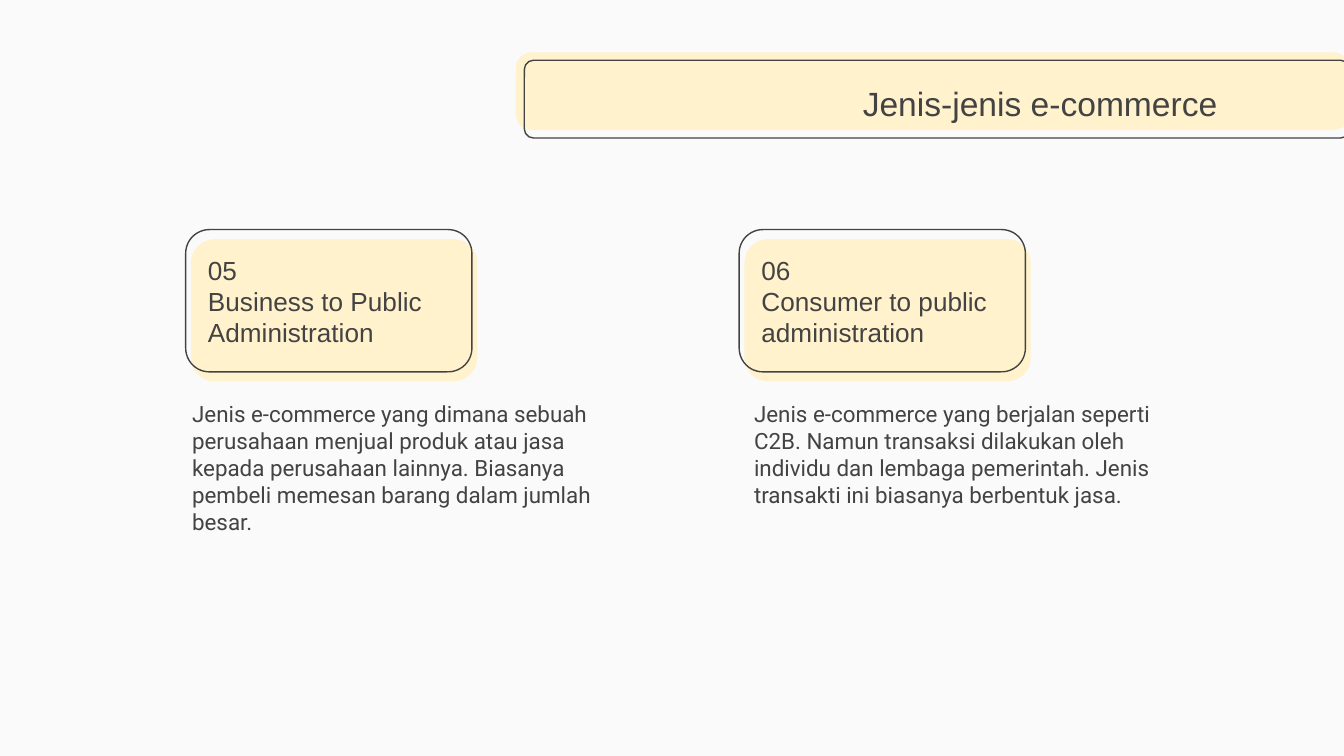
from dataclasses import dataclass

from lxml.etree import SubElement
from pptx import Presentation
from pptx.dml.color import RGBColor
from pptx.enum.shapes import MSO_SHAPE
from pptx.enum.text import MSO_ANCHOR, MSO_AUTO_SIZE, PP_ALIGN
from pptx.oxml.ns import qn
from pptx.util import Cm, Pt


@dataclass(frozen=True)
class Theme:
    paper: RGBColor = RGBColor(0xFA, 0xFA, 0xFA)
    cream: RGBColor = RGBColor(0xFF, 0xF2, 0xCC)
    ink: RGBColor = RGBColor(0x43, 0x43, 0x43)
    head_font: str = "Arial"
    body_font: str = "Roboto"
    title_size: int = 18
    head_size: int = 14
    body_size: int = 12
    line_width: float = 0.75
    inset: float = 0.25


class Deck:
    """Holds the style and the current slide."""

    def __init__(self, s, theme):
        self.s, self.theme = s, theme

    def background(self):
        fill = self.s.background.fill
        fill.solid()
        fill.fore_color.rgb = self.theme.paper

    def rounded(self, shapes, box, radius, filled):
        """A rounded box: either a plain fill or a plain outline."""
        sp = shapes.add_shape(MSO_SHAPE.ROUNDED_RECTANGLE, *map(Cm, box))
        sp.adjustments[0] = radius
        sp.shadow.inherit = False
        if filled:
            sp.fill.solid()
            sp.fill.fore_color.rgb = self.theme.cream
            sp.line.fill.background()
        else:
            sp.fill.background()
            sp.line.color.rgb = self.theme.ink
            sp.line.width = Pt(self.theme.line_width)

    def card(self, x, y, w, h):
        """A filled box with its outline shifted up and to the left."""
        shapes = self.s.shapes.add_group_shape().shapes
        self.rounded(shapes, (x + 0.1, y + 0.18, w, h), 0.167, True)
        self.rounded(shapes, (x, y, w, h), 0.167, False)

    def text(self, idx, box, lines, font, size, anchor, align=PP_ALIGN.LEFT):
        """Fill a template placeholder and bring it in front of the boxes."""
        sp = self.s.placeholders[idx]
        sp.left, sp.top, sp.width, sp.height = map(Cm, box)
        sp.element.getparent().append(sp.element)
        tf = sp.text_frame
        inset = Cm(self.theme.inset)
        frame_format = {
            "word_wrap": True, "auto_size": MSO_AUTO_SIZE.NONE,
            "vertical_anchor": anchor, "margin_left": inset,
            "margin_right": inset, "margin_top": inset, "margin_bottom": inset,
        }
        for name, value in frame_format.items():
            setattr(tf, name, value)
        para_format = {"alignment": align, "space_before": Pt(0),
                       "space_after": Pt(0), "line_spacing": 1.0}
        font_format = {"name": font, "size": Pt(size), "bold": False}
        for i, line in enumerate(lines):
            p = tf.add_paragraph() if i else tf.paragraphs[0]
            for name, value in para_format.items():
                setattr(p, name, value)
            # No bullet and no hanging indent
            pPr = p._p.get_or_add_pPr()
            pPr.set("marL", "0")
            pPr.set("indent", "0")
            SubElement(pPr, qn("a:buNone"))
            r = p.add_run()
            r.text = line
            for name, value in font_format.items():
                setattr(r.font, name, value)
            r.font.color.rgb = self.theme.ink


# Heading lines, heading width, card left, body left, body text
TYPES = [
    (["05", "Business to Public Administration"], 4.75, 3.51, 3.38,
     "Jenis e-commerce yang dimana sebuah perusahaan menjual produk atau jasa "
     "kepada perusahaan lainnya. Biasanya pembeli memesan barang dalam jumlah "
     "besar."),
    (["06", "Consumer to public administration"], 5.28, 13.97, 14.0,
     "Jenis e-commerce yang berjalan seperti C2B. Namun transaksi dilakukan "
     "oleh individu dan lembaga pemerintah. Jenis transakti ini biasanya "
     "berbentuk jasa."),
]


def main():
    prs = Presentation()
    prs.slide_width, prs.slide_height = Cm(25.4), Cm(14.29)
    theme = Theme()
    # Comparison layout: a title and two heading/body pairs
    deck = Deck(prs.slides.add_slide(prs.slide_layouts[4]), theme)
    deck.background()

    # Title band
    shapes = deck.s.shapes
    deck.rounded(shapes, (9.75, 0.99, 15.75, 1.47), 0.199, True)
    deck.rounded(shapes, (9.91, 1.14, 15.6, 1.47), 0.119, False)
    deck.text(0, (14.4, 1.27, 8.86, 1.35), ["Jenis-jenis e-commerce"],
              theme.head_font, theme.title_size, MSO_ANCHOR.MIDDLE,
              PP_ALIGN.RIGHT)

    # One card with a description for each type
    for i, (heading, head_w, card_x, body_x, body) in enumerate(TYPES):
        deck.card(card_x, 4.34, 5.41, 2.69)
        deck.text(2 * i + 1, (card_x + 0.17, 5.23, head_w, 1.6), heading,
                  theme.head_font, theme.head_size, MSO_ANCHOR.BOTTOM)
        deck.text(2 * i + 2, (body_x, 7.32, 8.51, 2.72), [body],
                  theme.body_font, theme.body_size, MSO_ANCHOR.TOP)

    prs.save("out.pptx")


if __name__ == "__main__":
    main()
